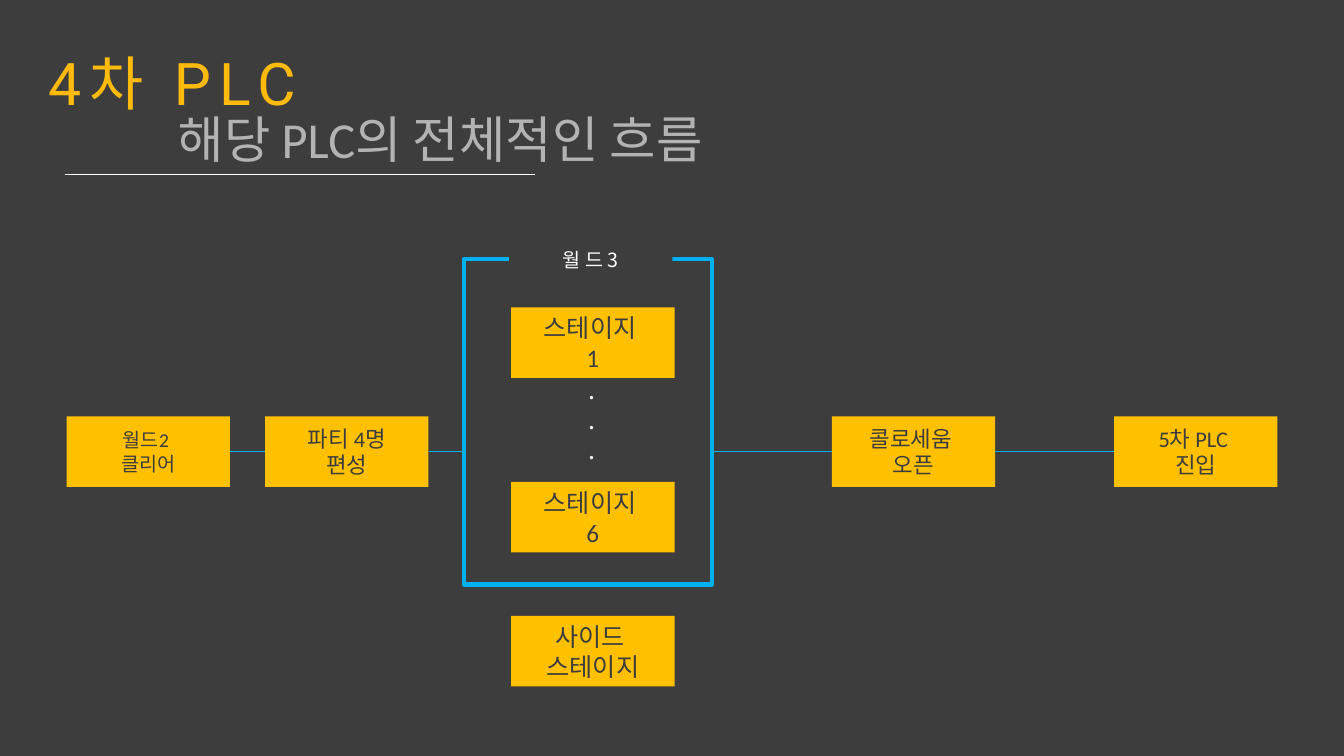
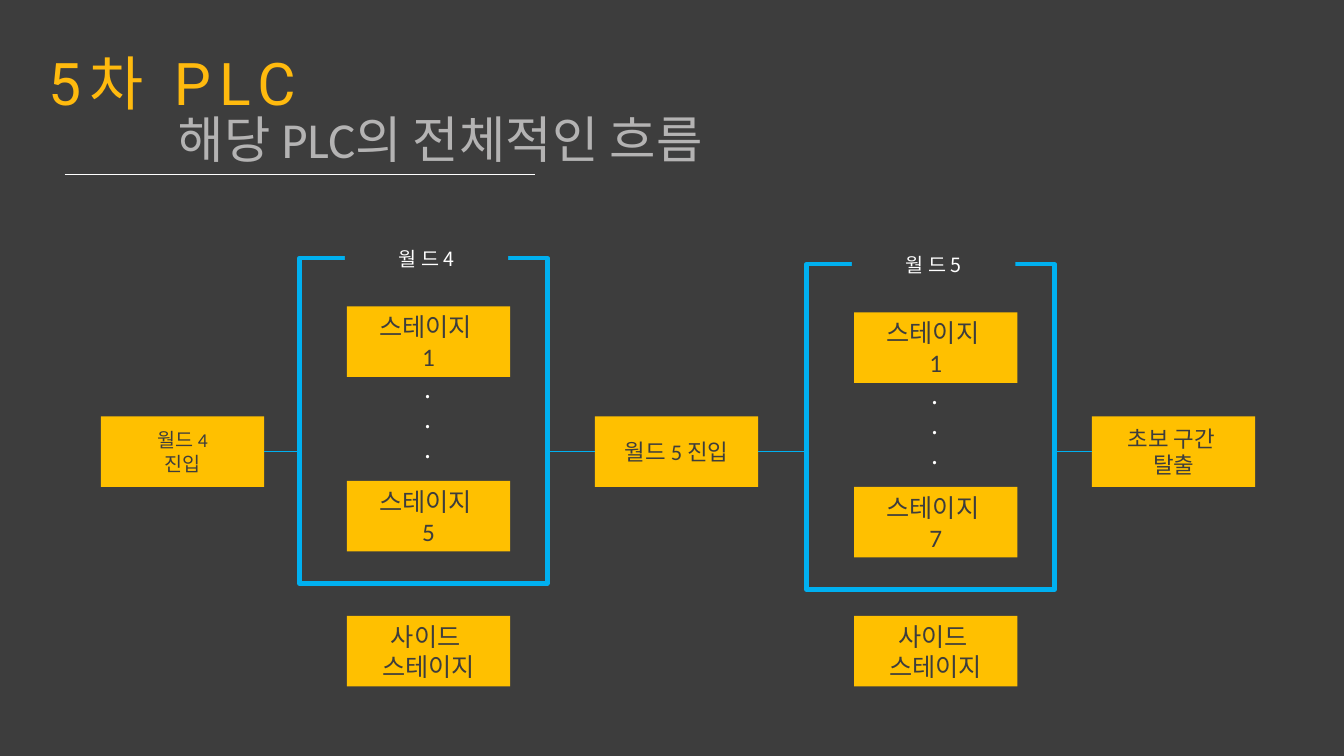
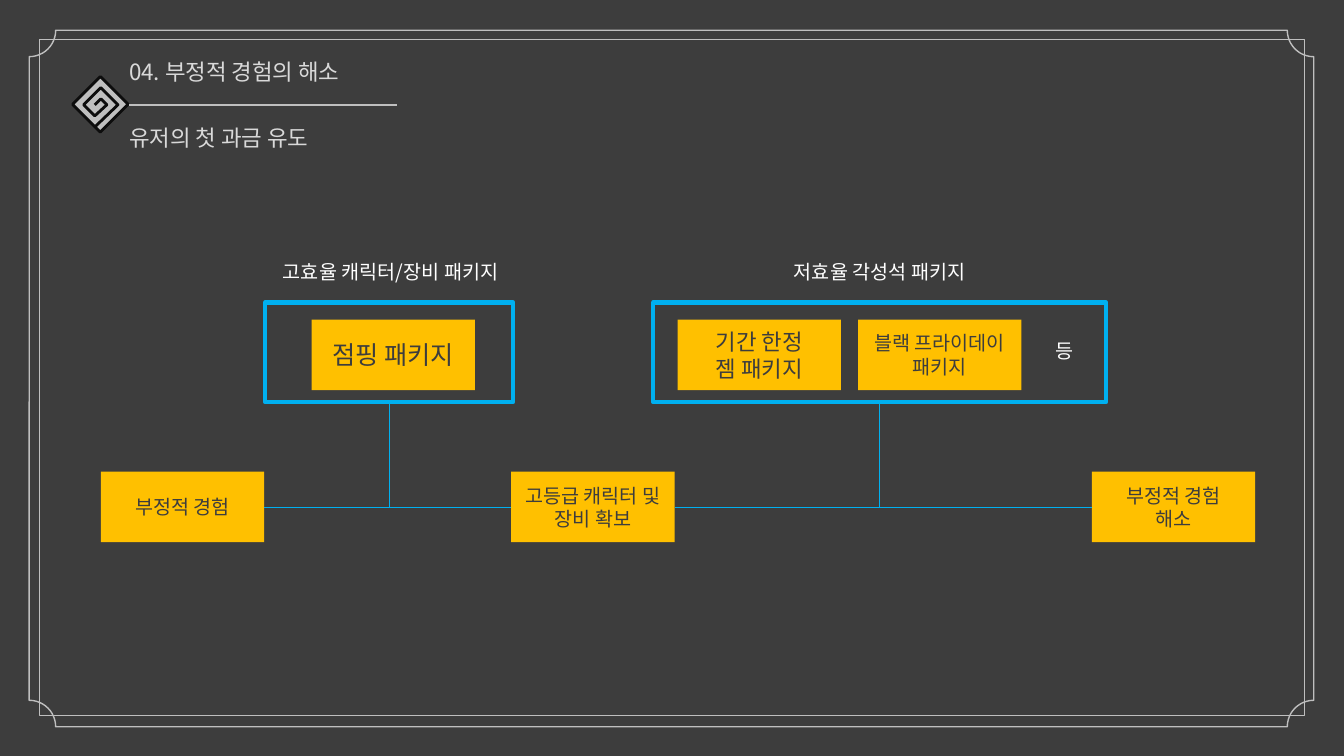
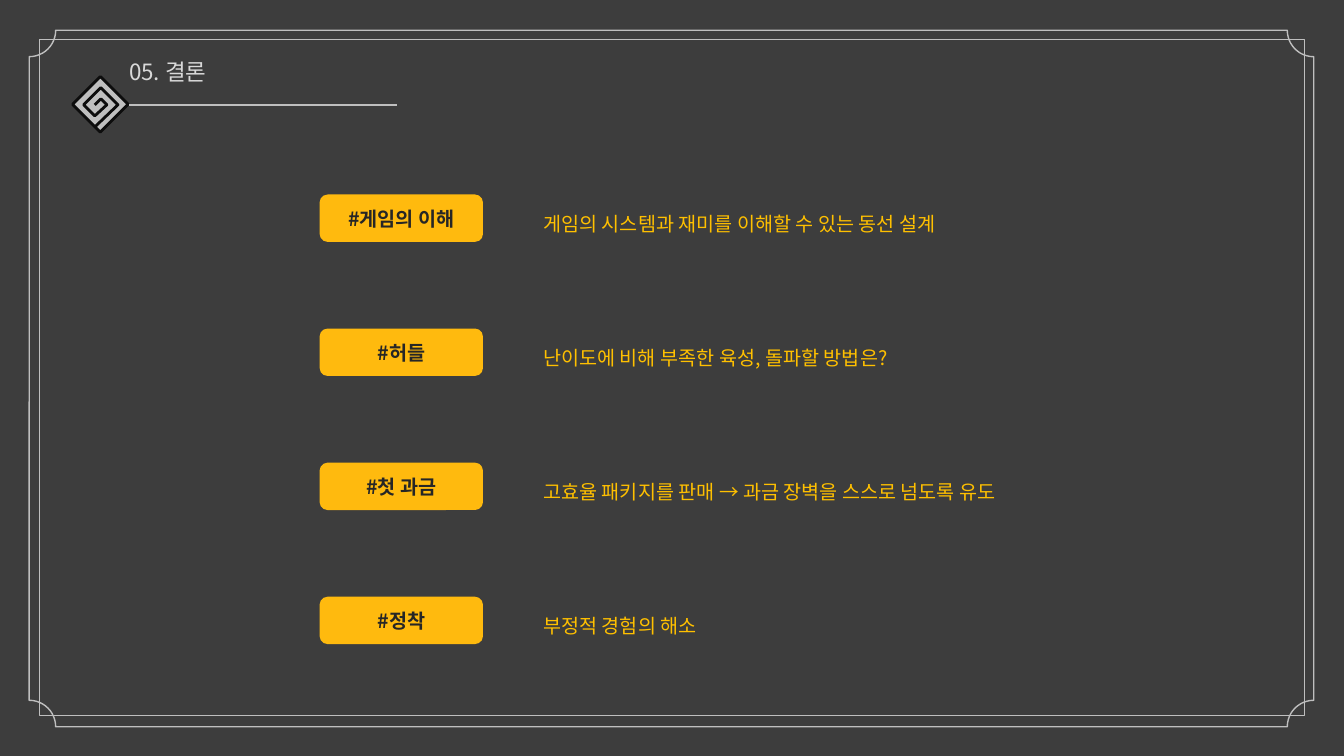
"""Build four slides on the flow of game progress, first purchases and the conclusion."""
from lxml import etree
from pptx import Presentation
from pptx.dml.color import RGBColor
from pptx.enum.shapes import MSO_CONNECTOR, MSO_SHAPE
from pptx.enum.text import MSO_ANCHOR, MSO_AUTO_SIZE, PP_ALIGN
from pptx.oxml.ns import qn
from pptx.util import Inches, Pt

RECT, ROUNDED, PLAQUE = MSO_SHAPE.RECTANGLE, MSO_SHAPE.ROUNDED_RECTANGLE, MSO_SHAPE.PLAQUE
STRAIGHT = MSO_CONNECTOR.STRAIGHT
LEFT, CENTER = PP_ALIGN.LEFT, PP_ALIGN.CENTER
TOP, MIDDLE = MSO_ANCHOR.TOP, MSO_ANCHOR.MIDDLE
NO_FIT = MSO_AUTO_SIZE.NONE

DARK, WHITE, BLUE, YELLOW, AMBER = "3D3D3D", "FFFFFF", "00B0F0", "FFC000", "FFBA0E"
SILVER, PALE, INK, MIST, BLACK = "BFBFBF", "D9D9D9", "0D0D0D", "E7E6E6", "262626"
BODY, KOREAN, DISPLAY = "Calibri", "Noto Sans CJK KR", "Roboto"
NODE_W, NODE_H = 1.62, 0.7
WORLD_W, WORLD_H = 2.46, 3.23
color = RGBColor.from_string


def box(slide, kind, at, fill=None, line=None, width=1):
    """Add a preset shape with a plain fill and outline."""
    shape = slide.shapes.add_shape(kind, *[Inches(n) for n in at])
    shape.shadow.inherit = False
    if fill:
        shape.fill.solid()
        shape.fill.fore_color.rgb = color(fill)
    else:
        shape.fill.background()
    if line:
        shape.line.color.rgb = color(line)
        shape.line.width = Pt(width)
    else:
        shape.line.fill.background()
    return shape


def write(shape, lines, size, ink=DARK, font=BODY, align=CENTER, anchor=MIDDLE, inset=True):
    """Write one paragraph per line and return the last run."""
    frame = shape.text_frame
    frame.word_wrap = True
    frame.auto_size = NO_FIT
    frame.vertical_anchor = anchor
    if not inset:
        frame.margin_left = frame.margin_right = frame.margin_top = frame.margin_bottom = 0
    for index, text in enumerate(lines):
        paragraph = frame.add_paragraph() if index else frame.paragraphs[0]
        paragraph.alignment = align
        run = paragraph.add_run()
        run.text = text
        run.font.size = Pt(size)
        run.font.color.rgb = color(ink)
        run.font.name = font
        etree.SubElement(run.font._element, qn("a:ea"), typeface=KOREAN)
    return run


prs = Presentation()
prs.slide_width, prs.slide_height = Inches(13.33), Inches(7.5)
background = prs.slide_master.background.fill
background.solid()
background.fore_color.rgb = color(DARK)
title_only = prs.slide_layouts[5]
connectors = []

flows = [
    ("4차 PLC ", [
        ("node", 0.66, 14, ["월드2 ", "클리어"]),
        ("node", 2.63, 16, ["파티 4명", "편성"]),
        ("world", 4.6, 2.57, ["월 드 3", "6"]),
        ("node", 8.25, 16, ["콜로세움 ", "오픈"]),
        ("node", 11.05, 16, ["5차 PLC ", "진입"]),
    ]),
    ("5차 PLC ", [
        ("node", 1, 14, ["월드 4", "진입"]),
        ("world", 2.97, 2.56, ["월 드 4", "5"]),
        ("node", 5.9, 16, ["월드 5 진입"]),
        ("world", 8, 2.62, ["월 드 5", "7"]),
        ("node", 10.83, 16, ["초보 구간 ", "탈출"]),
    ]),
]
flow_top = 4.13
flow_y = Inches(flow_top + NODE_H / 2)

for heading, stops in flows:
    slide = prs.slides.add_slide(title_only)
    title = slide.shapes.title
    title.left, title.top, title.width, title.height = [Inches(n) for n in (0.27, 0.41, 3.1, 0.81)]
    run = write(title, [heading], 42, AMBER, DISPLAY, anchor=TOP)
    run.font._element.set("spc", "600")

    subtitle = slide.shapes.add_textbox(*[Inches(n) for n in (0.66, 1.02, 7.41, 0.71)])
    run = write(subtitle, ["해당 PLC의 전체적인 흐름"], 36, MIST, anchor=TOP)
    tint = run.font._element.find(".//" + qn("a:srgbClr"))
    etree.SubElement(tint, qn("a:alpha"), val="70000")
    rule = slide.shapes.add_connector(STRAIGHT, Inches(0.64), Inches(1.73), Inches(5.31), Inches(1.73))
    connectors.append((rule, WHITE, 0.5))

    previous = None
    for kind, left, setting, words in stops:
        if kind == "node":
            stop = box(slide, RECT, (left, flow_top, NODE_W, NODE_H), YELLOW)
            write(stop, words, setting)
        else:
            top = setting
            name, last_stage = words
            stop = box(slide, RECT, (left, top, WORLD_W, WORLD_H), None, BLUE, 3)
            label = box(slide, RECT, (left + 0.45, top - 0.16, NODE_W, 0.34), DARK)
            write(label, [name], 14, WHITE, KOREAN)
            for stage_top, stage_words in [
                (top + 0.48, ["스테이지 ", "1"]),
                (top + 2.21, ["스테이지 ", last_stage]),
                (6.11, ["사이드 ", "스테이지"]),
            ]:
                stage = box(slide, RECT, (left + 0.47, stage_top, NODE_W, NODE_H), YELLOW)
                write(stage, stage_words, 18)
            dots = slide.shapes.add_textbox(Inches(left + 0.68), Inches(top + 1.09), Inches(1.19), Inches(1.01))
            write(dots, [".", ".", "."], 18, WHITE, KOREAN, anchor=TOP)

        if previous:
            previous_kind, previous_stop = previous
            link = slide.shapes.add_connector(
                STRAIGHT, previous_stop.left + previous_stop.width, flow_y, stop.left, flow_y)
            if previous_kind == "node":
                link.begin_connect(previous_stop, 3)
            if kind == "node":
                link.end_connect(stop, 1)
            connectors.append((link, BLUE, 0.5))
        previous = kind, stop

spiral = [(0.94, 1.26), (1.17, 1.04), (1, 0.87), (0.83, 1.04),
          (0.94, 1.15), (1.06, 1.04), (1, 0.98), (0.94, 1.04)]
framed_slides = []
for heading in ["04. 부정적 경험의 해소", "05. 결론"]:
    slide = prs.slides.add_slide(title_only)
    framed_slides.append(slide)
    box(slide, RECT, (0.39, 0.39, 12.55, 6.71), None, SILVER)
    border = box(slide, PLAQUE, (0.29, 0.3, 12.74, 6.91), None, SILVER)
    border.adjustments[0] = 0.038
    diamond = box(slide, RECT, (0.8, 0.84, 0.39, 0.39), SILVER, INK, 2)
    diamond.rotation = 45
    points = [(Inches(x), Inches(y)) for x, y in spiral]
    builder = slide.shapes.build_freeform(*points[0])
    builder.add_line_segments(points[1:], close=False)
    swirl = builder.convert_to_shape()
    swirl.shadow.inherit = False
    swirl.fill.background()
    swirl.line.color.rgb = color(INK)
    swirl.line.width = Pt(2)
    rule = slide.shapes.add_connector(STRAIGHT, Inches(1.28), Inches(1.04), Inches(3.94), Inches(1.04))
    connectors.append((rule, SILVER, 1))
    title = slide.shapes.title
    title.left, title.top, title.width, title.height = [Inches(n) for n in (1.28, 0.58, 2.66, 0.27)]
    write(title, [heading], 16, PALE, KOREAN, LEFT, TOP, inset=False)

purchase, conclusion = framed_slides

subtitle = purchase.shapes.add_textbox(Inches(1.28), Inches(1.23), Inches(2.66), Inches(0.27))
write(subtitle, ["유저의 첫 과금 유도"], 16, PALE, KOREAN, LEFT, TOP, inset=False)

steps = []
for left, words in [
    (1, ["부정적 경험"]),
    (5.07, ["고등급 캐릭터 및 장비 확보"]),
    (10.83, ["부정적 경험", "해소"]),
]:
    step = box(purchase, RECT, (left, 4.68, NODE_W, NODE_H), YELLOW)
    write(step, words, 14)
    steps.append(step)
step_y = Inches(4.68 + NODE_H / 2)
for before, after in zip(steps, steps[1:]):
    link = purchase.shapes.add_connector(STRAIGHT, before.left + before.width, step_y, after.left, step_y)
    link.begin_connect(before, 3)
    link.end_connect(after, 1)
    connectors.append((link, BLUE, 0.5))

for left, width, label_left, name, packages in [
    (2.63, 2.46, 2.69, "고효율 캐릭터/장비 패키지", [(3.09, 18, ["점핑 패키지"])]),
    (6.48, 4.49, 7.54, "저효율 각성석 패키지", [
        (6.72, 16, ["기간 한정", "젬 패키지"]),
        (8.51, 14, ["블랙 프라이데이 패키지"]),
    ]),
]:
    group = box(purchase, RECT, (left, 3, width, 0.99), None, BLUE, 3)
    label = box(purchase, RECT, (label_left, 2.53, 2.37, 0.34), DARK)
    write(label, [name], 14, WHITE, KOREAN)
    for package_left, size, words in packages:
        package = box(purchase, RECT, (package_left, 3.17, NODE_W, NODE_H), YELLOW)
        write(package, words, size)
    middle = group.left + group.width // 2
    drop = purchase.shapes.add_connector(STRAIGHT, middle, Inches(3.99), middle, step_y)
    drop.begin_connect(group, 2)
    connectors.append((drop, BLUE, 0.5))
others = purchase.shapes.add_textbox(Inches(10.29), Inches(3.31), Inches(0.54), Inches(0.34))
write(others, ["등"], 14, WHITE, KOREAN, anchor=TOP)

for row, (keyword, summary) in enumerate([
    ("#게임의 이해", "게임의 시스템과 재미를 이해할 수 있는 동선 설계"),
    ("#허들", "난이도에 비해 부족한 육성, 돌파할 방법은?"),
    ("#첫 과금", "고효율 패키지를 판매 → 과금 장벽을 스스로 넘도록 유도"),
    ("#정착", "부정적 경험의 해소"),
]):
    top = 1.93 + 1.33 * row
    tag = box(conclusion, ROUNDED, (3.17, top, NODE_W, 0.47), AMBER)
    write(tag, [keyword], 14, BLACK, KOREAN).font.bold = True
    note = conclusion.shapes.add_textbox(Inches(5.29), Inches(top + 0.02), Inches(4.87), Inches(0.42))
    write(note, [summary], 14, YELLOW, KOREAN, LEFT)
    note.text_frame.paragraphs[0].line_spacing = 1.5

for connector, ink, width in connectors:
    connector.line.color.rgb = color(ink)
    connector.line.width = Pt(width)
    etree.SubElement(connector._element.spPr, qn("a:effectLst"))

prs.save("out.pptx")
